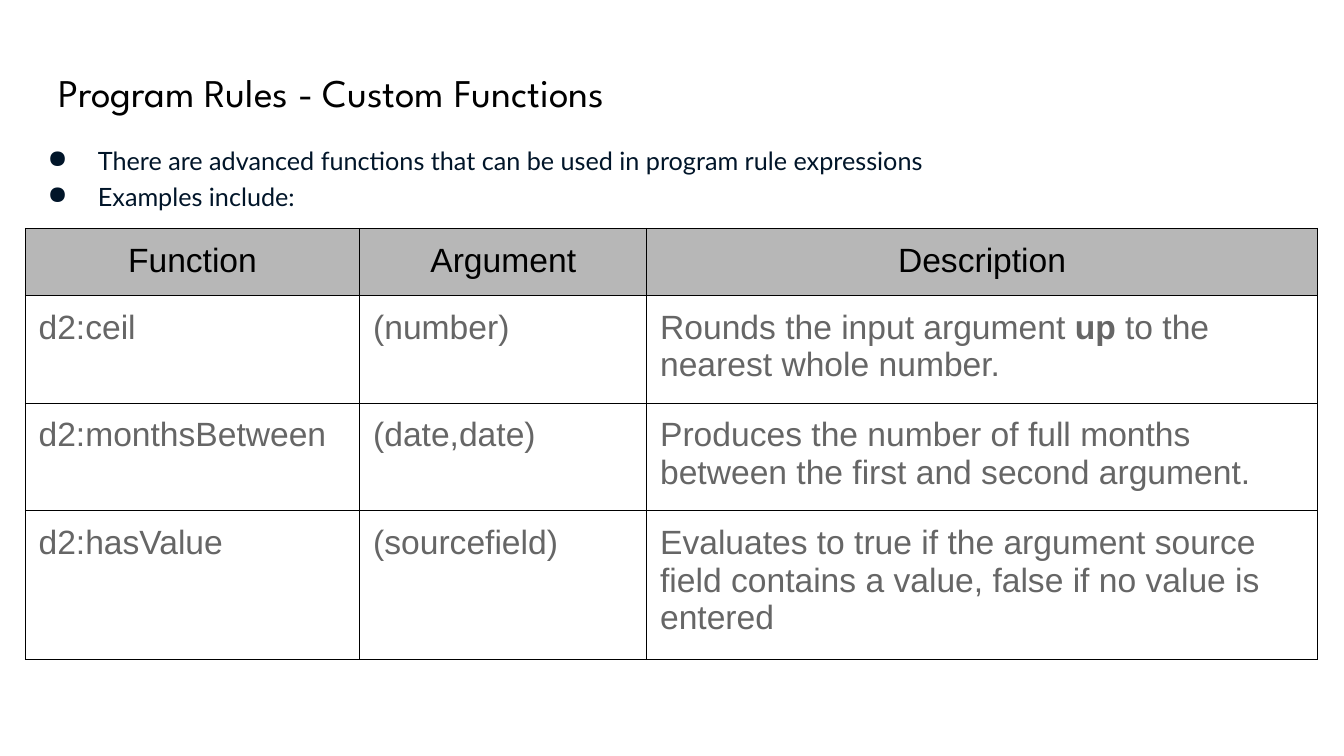
from lxml.etree import SubElement
from pptx import Presentation
from pptx.dml.color import RGBColor
from pptx.enum.text import MSO_ANCHOR as Anchor, PP_ALIGN as Align
from pptx.oxml.ns import qn
from pptx.util import Pt

COLORS = {
    "black": "000000",
    "navy": "011529",
    "gray": "666666",
    "head": "B7B7B7",
    "white": "FFFFFF",
}
INSET = Pt(9.6)
COLS = [239, 205, 479]
ROWS = [48, 77, 77, 106]
HEADS = ["Function", "Argument", "Description"]
# Each description is a list of parts; every second part is bold.
RULES = [
    ["d2:ceil", "(number)",
     ["Rounds the input argument ", "up", " to the nearest whole number."]],
    ["d2:monthsBetween", "(date,date)",
     ["Produces the number of full months between the first and second "
      "argument."]],
    ["d2:hasValue", "(sourcefield)",
     ["Evaluates to true if the argument source field contains a value, "
      "false if no value is entered"]],
]
BULLETS = [
    "There are advanced functions that can be used in program rule "
    "expressions",
    "Examples include:",
]


def rgb(name):
    return RGBColor.from_string(COLORS[name])


def style(run, face, size, color):
    run.font.name = face
    run.font.size = Pt(size)
    run.font.color.rgb = rgb(color)


def add_solid(parent, color):
    fill = SubElement(parent, qn("a:solidFill"))
    SubElement(fill, qn("a:srgbClr"), val=COLORS[color])


def set_insets(box):
    box.margin_left = box.margin_right = INSET
    box.margin_top = box.margin_bottom = INSET


def add_text(slide, place, lines, face, size, color):
    box = slide.shapes.add_textbox(*map(Pt, place))
    frame = box.text_frame
    frame.word_wrap = True
    frame.vertical_anchor = Anchor.TOP
    set_insets(frame)
    frame.text = "\n".join(lines)
    for para in frame.paragraphs:
        style(para.runs[0], face, size, color)
    return frame


def add_bullet(para):
    para.line_spacing = 1.2
    props = para._p.get_or_add_pPr()
    props.set("marL", str(Pt(48)))
    props.set("indent", str(Pt(-36)))
    tint = SubElement(props, qn("a:buClr"))
    SubElement(tint, qn("a:srgbClr"), val=COLORS["navy"])
    SubElement(props, qn("a:buChar"), char="●")


def add_border(cell):
    props = cell._tc.get_or_add_tcPr()
    for i, side in enumerate(["lnL", "lnR", "lnT", "lnB"]):
        line = props.makeelement(qn("a:" + side), {"w": str(Pt(0.75))})
        add_solid(line, "black")
        props.insert(i, line)


def fill_cell(cell, parts, color, back=None, align=Align.LEFT):
    set_insets(cell)
    cell.vertical_anchor = Anchor.TOP
    para = cell.text_frame.paragraphs[0]
    para.alignment = align
    for i, part in enumerate(parts):
        run = para.add_run()
        run.text = part
        style(run, "Arial", 24, color)
        run.font.bold = i % 2 == 1
    if back:
        cell.fill.solid()
        cell.fill.fore_color.rgb = rgb(back)
    else:
        cell.fill.background()
    add_border(cell)


def add_rules(slide, left, top):
    frame = slide.shapes.add_table(
        len(ROWS), len(COLS), Pt(left), Pt(top), Pt(sum(COLS)), Pt(sum(ROWS)))
    table = frame.table
    table.horz_banding = False
    for col, width in zip(table.columns, COLS):
        col.width = Pt(width)
    for row, height in zip(table.rows, ROWS):
        row.height = Pt(height)
    for c, head in enumerate(HEADS):
        fill_cell(table.cell(0, c), [head], "black", "head", Align.CENTER)
    for r, (name, args, parts) in enumerate(RULES, 1):
        for c, texts in enumerate([[name], [args], parts]):
            fill_cell(table.cell(r, c), texts, "gray")


def main():
    deck = Presentation()
    deck.slide_width, deck.slide_height = Pt(960), Pt(540)
    slide = deck.slides.add_slide(deck.slide_layouts[6])
    slide.background.fill.solid()
    slide.background.fill.fore_color.rgb = rgb("white")
    add_text(slide, (32.4, 39, 894, 50), ["Program Rules - Custom Functions"],
             "League Spartan", 28, "black")
    body = add_text(slide, (12.4, 90, 894, 104), BULLETS, "Lato", 18, "navy")
    for para in body.paragraphs:
        add_bullet(para)
    add_rules(slide, 18, 163)
    deck.save("out.pptx")


if __name__ == "__main__":
    main()
